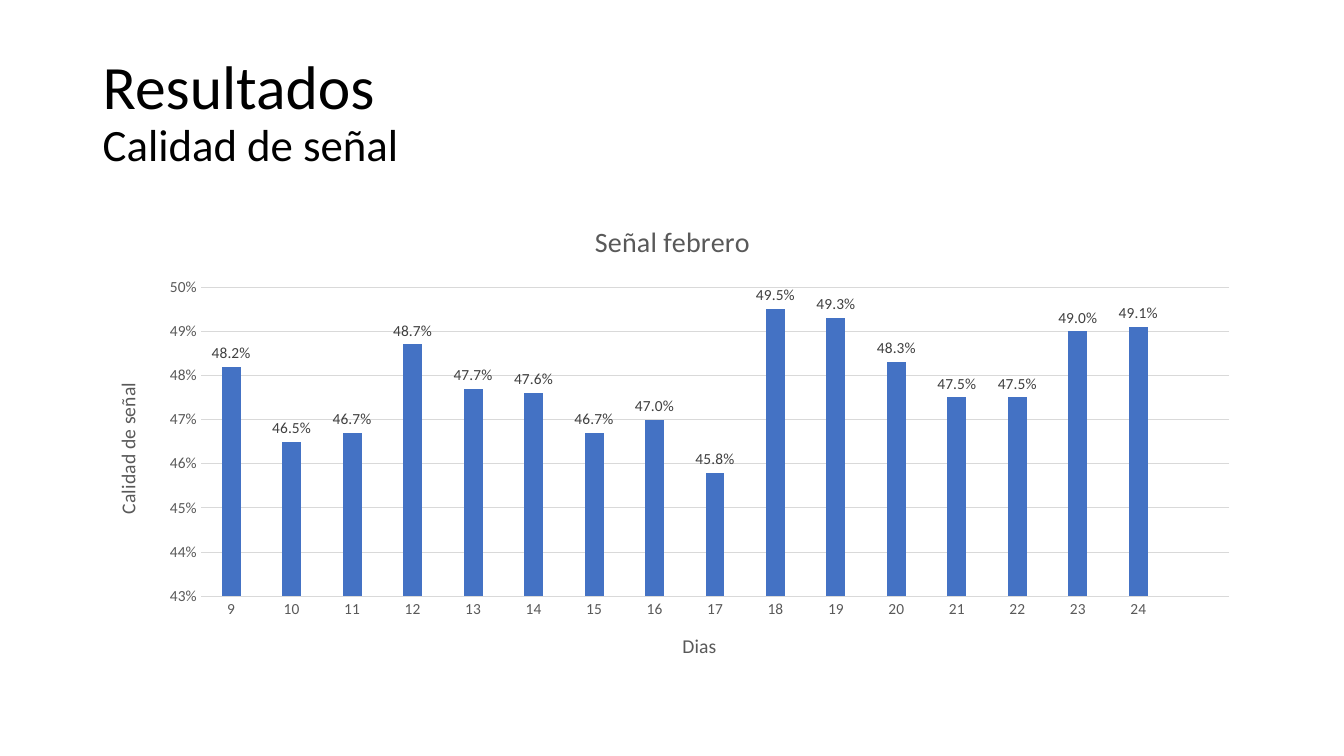
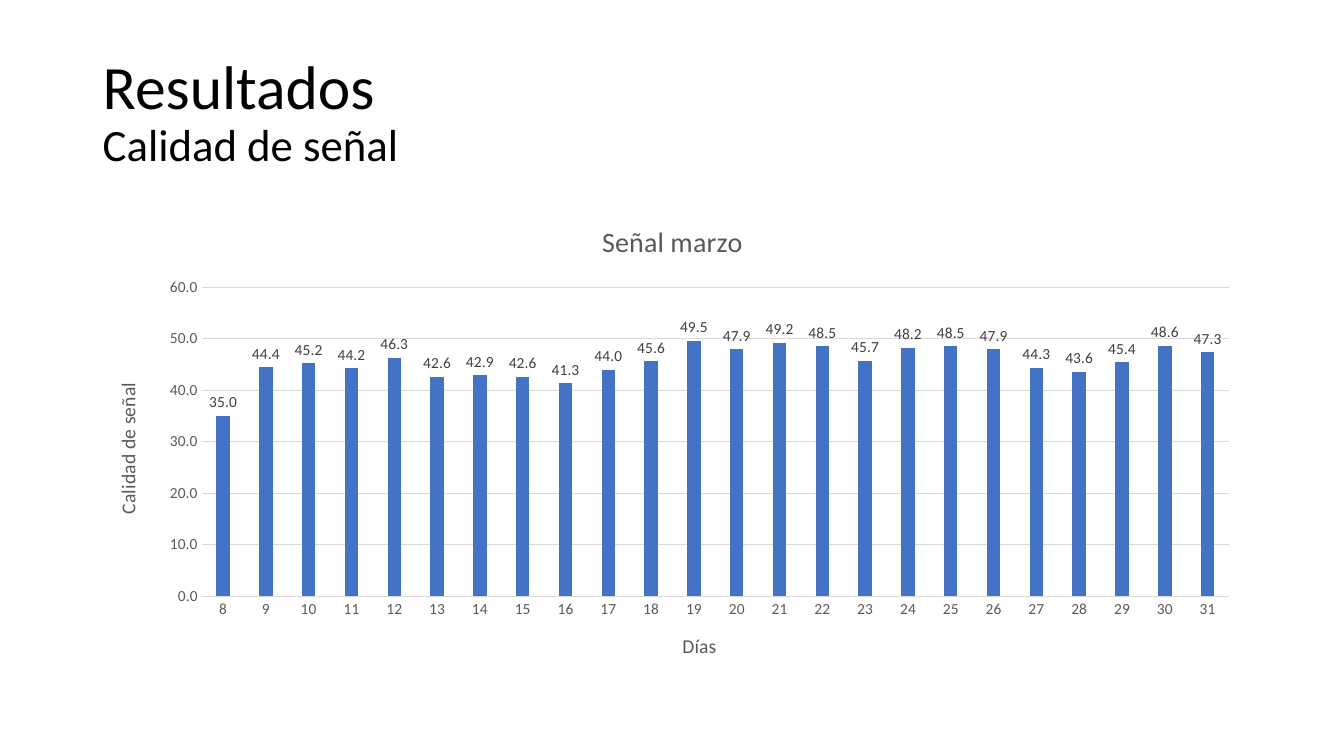
from pptx import Presentation
from pptx import util as u
from pptx.chart.data import CategoryChartData
from pptx.dml.color import RGBColor
from pptx.enum import chart as ch, text

# Content
TITLE = [("Resultados", 44), ("Calidad de señal", 32)]
VALUE_TITLE = "Calidad de señal"
CHARTS = [
    dict(title="Señal febrero", days_title="Dias",
         days=[str(d) for d in range(9, 25)] + [""],
         values=[0.482, 0.465, 0.467, 0.487, 0.477, 0.476, 0.467, 0.47, 0.458,
                 0.495, 0.493, 0.483, 0.475, 0.475, 0.49, 0.491, None],
         scale=(0.43, 0.5, 0.01), axis_format="0%", label_format="0.0%"),
    dict(title="Señal marzo", days_title="Días",
         days=[str(d) for d in range(8, 32)],
         values=[35.0, 44.4, 45.2, 44.2, 46.3, 42.6, 42.9, 42.6, 41.3, 44.0, 45.6, 49.5,
                 47.9, 49.2, 48.5, 45.7, 48.2, 48.5, 47.9, 44.3, 43.6, 45.4, 48.6, 47.3],
         scale=(0, 60, 10), axis_format="0.0", label_format="0.0"),
]

# Shared style
FONT = "Calibri"
COLORS = dict(title="000000", axis="595959", label="404040", grid="D9D9D9", bar="4472C4")
LEFT, WIDTH = 0.92, 11.5
TITLE_BOX = [u.Inches(n) for n in (LEFT, 0.4, WIDTH, 1.45)]
CHART_BOX = [u.Inches(n) for n in (LEFT, 2, WIDTH, 4.76)]


def color(name):
    return RGBColor.from_string(COLORS[name])


def style_font(font, size, name):
    font.name, font.size, font.bold = FONT, u.Pt(size), False
    font.color.rgb = color(name)


def style_line(line):
    line.color.rgb = color("grid")
    line.width = u.Pt(0.75)


def add_title(s):
    tf = s.shapes.add_textbox(*TITLE_BOX).text_frame
    tf.word_wrap = True
    tf.vertical_anchor = text.MSO_ANCHOR.MIDDLE
    for i, (words, size) in enumerate(TITLE):
        p = tf.add_paragraph() if i else tf.paragraphs[0]
        p.line_spacing = 0.9
        r = p.add_run()
        r.text = words
        style_font(r.font, size, "title")


def write_heading(tf, words, size):
    r = tf.paragraphs[0].add_run()
    r.text = words
    style_font(r.font, size, "axis")


def style_axis(axis, title):
    axis.major_tick_mark = axis.minor_tick_mark = ch.XL_TICK_MARK.NONE
    style_font(axis.tick_labels.font, 11, "axis")
    write_heading(axis.axis_title.text_frame, title, 14)


def add_signal_chart(s, item):
    data = CategoryChartData()
    data.categories = item["days"]
    data.add_series("Series 1", item["values"])
    chart = s.shapes.add_chart(ch.XL_CHART_TYPE.COLUMN_CLUSTERED, *CHART_BOX, data).chart
    chart.has_legend = False
    style_font(chart.font, 10, "title")
    chart.has_title = True
    write_heading(chart.chart_title.text_frame, item["title"], 20)

    # Axes
    days, signal = chart.category_axis, chart.value_axis
    style_axis(days, item["days_title"])
    style_line(days.format.line)
    style_axis(signal, VALUE_TITLE)
    signal.axis_title.text_frame._txBody.bodyPr.set("rot", "-5400000")
    signal.format.line.fill.background()
    signal.has_major_gridlines = True
    style_line(signal.major_gridlines.format.line)
    signal.minimum_scale, signal.maximum_scale, signal.major_unit = item["scale"]
    signal.tick_labels.number_format = item["axis_format"]
    signal.tick_labels.number_format_is_linked = False

    # Bars and their labels
    plot = chart.plots[0]
    plot.gap_width, plot.overlap, plot.vary_by_categories = 219, -27, False
    fill = plot.series[0].format.fill
    fill.solid()
    fill.fore_color.rgb = color("bar")
    labels = plot.series[0].data_labels
    labels.show_value = True
    labels.position = ch.XL_LABEL_POSITION.OUTSIDE_END
    labels.number_format = item["label_format"]
    labels.number_format_is_linked = False
    style_font(labels.font, 11, "label")


def main():
    prs = Presentation()
    prs.slide_width, prs.slide_height = u.Inches(13.33), u.Inches(7.5)
    for item in CHARTS:
        s = prs.slides.add_slide(prs.slide_layouts[6])
        add_signal_chart(s, item)
        add_title(s)
    prs.save("out.pptx")


if __name__ == "__main__":
    main()
